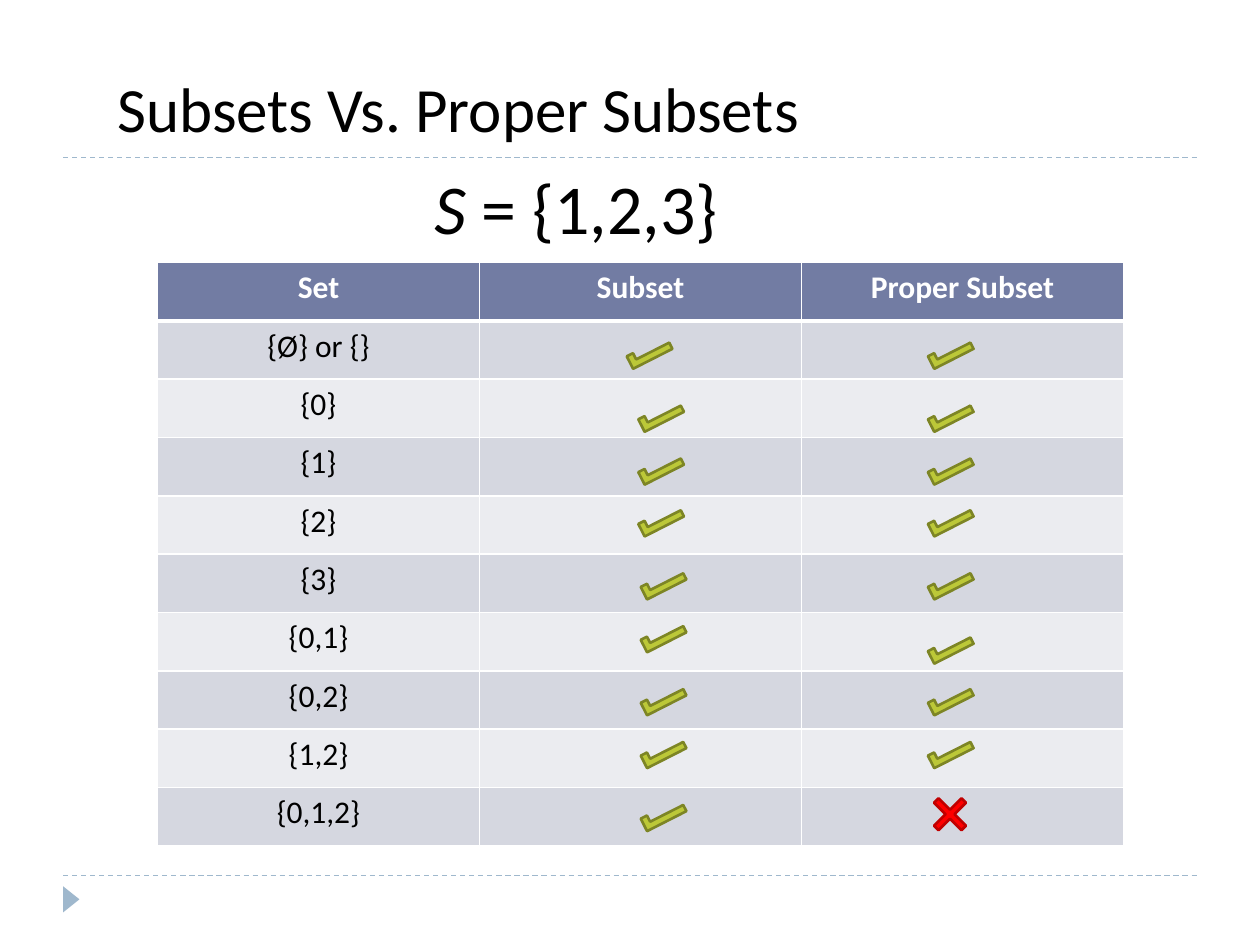
from dataclasses import dataclass

from lxml.etree import SubElement
from pptx import Presentation
from pptx.dml.color import RGBColor
from pptx.enum.dml import MSO_LINE
from pptx.enum.shapes import MSO_CONNECTOR, MSO_SHAPE
from pptx.enum.text import MSO_AUTO_SIZE, PP_ALIGN
from pptx.oxml.ns import qn
from pptx.util import Pt


@dataclass(frozen=True)
class Theme:
    font: str = "Calibri"
    title_size: float = 36
    formula_size: float = 40
    table_size: float = 18
    text: str = "000000"
    white: str = "FFFFFF"
    accent: str = "9FB8CD"
    header: str = "727CA3"
    bands: tuple = ("D5D7E0", "EBECF0")
    check: str = "BCC838"
    check_line: str = "7D8525"
    cross: str = "FF0000"
    cross_line: str = "C00000"


@dataclass(frozen=True)
class Box:
    left: float
    top: float
    width: float
    height: float


THEME = Theme()
HEADERS = ("Set", "Subset", "Proper Subset")
SETS = ("{Ø} or {}", "{0}", "{1}", "{2}", "{3}", "{0,1}", "{0,2}", "{1,2}", "{0,1,2}")

# Check mark offsets from the table's top left corner
CHECK_TOPS = (47.5, 83.5, 113.7, 143.3, 179.3, 209.5, 245.5, 275.7, 311.7)
SUBSET_LEFTS = (268.6,) + (275.2,) * 3 + (276.6,) * 5
PROPER_LEFT = 440.7
PROPER_TOPS = CHECK_TOPS[:5] + (216,) + CHECK_TOPS[6:8]


def add_run(paragraph, text, *, size, color=THEME.text, bold=False, italic=False):
    run = paragraph.add_run()
    run.text = text
    run.font.name = THEME.font
    run.font.size = Pt(size)
    run.font.bold = bold
    run.font.italic = italic
    run.font.color.rgb = RGBColor.from_string(color)


def add_text_line(slide, box, runs, size):
    """Add a one-line text box from (text, italic) pairs."""
    shape = slide.shapes.add_textbox(
        Pt(box.left), Pt(box.top), Pt(box.width), Pt(box.height))
    frame = shape.text_frame
    frame.word_wrap = False
    frame.auto_size = MSO_AUTO_SIZE.SHAPE_TO_FIT_TEXT
    for text, italic in runs:
        add_run(frame.paragraphs[0], text, size=size, italic=italic)


def add_preset(slide, kind, box, *, fill, line=None, rotation=0, adjustment=None):
    shape = slide.shapes.add_shape(
        kind, Pt(box.left), Pt(box.top), Pt(box.width), Pt(box.height))
    shape.shadow.inherit = False
    shape.rotation = rotation
    shape.fill.solid()
    shape.fill.fore_color.rgb = RGBColor.from_string(fill)
    if adjustment is not None:
        shape.adjustments[0] = adjustment
    if line:
        shape.line.color.rgb = RGBColor.from_string(line)
        shape.line.width = Pt(1.5)
    else:
        shape.line.fill.background()


def add_frame(slide, box):
    """Dashed rules at the top and bottom of the box, with a marker below."""
    for y in (box.top, box.top + box.height):
        rule = slide.shapes.add_connector(
            MSO_CONNECTOR.STRAIGHT, Pt(box.left), Pt(y), Pt(box.left + box.width), Pt(y))
        rule.line.color.rgb = RGBColor.from_string(THEME.accent)
        rule.line.width = Pt(0.75)
        rule.line.dash_style = MSO_LINE.DASH
        SubElement(rule._element.spPr, qn("a:effectLst"))
    marker = Box(box.left - 2.8, box.top + box.height + 8.8, 15, 9.4)
    add_preset(slide, MSO_SHAPE.ISOSCELES_TRIANGLE, marker,
               fill=THEME.accent, rotation=90)


def set_borders(cell, top, bottom):
    """Draw white cell borders; this must come before the cell's fill."""
    properties = cell._tc.get_or_add_tcPr()
    for side, width in (("L", 1), ("R", 1), ("T", top), ("B", bottom)):
        border = SubElement(properties, qn(f"a:ln{side}"), w=str(Pt(width)))
        fill = SubElement(border, qn("a:solidFill"))
        SubElement(fill, qn("a:srgbClr"), val=THEME.white)


def add_set_table(slide, box):
    rows = [HEADERS] + [(name, "", "") for name in SETS]
    table = slide.shapes.add_table(
        len(rows), len(HEADERS),
        Pt(box.left), Pt(box.top), Pt(box.width), Pt(box.height)).table
    for column in table.columns:
        column.width = Pt(box.width / len(HEADERS))
    for index, values in enumerate(rows):
        table.rows[index].height = Pt(box.height / len(rows))
        is_header = index == 0
        fill = THEME.header if is_header else THEME.bands[(index - 1) % 2]
        for column, text in enumerate(values):
            cell = table.cell(index, column)
            set_borders(cell, top=3 if index == 1 else 1, bottom=3 if is_header else 1)
            cell.fill.solid()
            cell.fill.fore_color.rgb = RGBColor.from_string(fill)
            paragraph = cell.text_frame.paragraphs[0]
            paragraph.alignment = PP_ALIGN.CENTER
            paragraph.font.size = Pt(THEME.table_size)
            if text:
                add_run(paragraph, text, size=THEME.table_size, bold=is_header,
                        color=THEME.white if is_header else THEME.text)


def add_marks(slide, box):
    """Check marks and the one cross, placed over the table."""
    checks = list(zip(SUBSET_LEFTS, CHECK_TOPS))
    checks += [(PROPER_LEFT, top) for top in PROPER_TOPS]
    for left, top in checks:
        add_preset(slide, MSO_SHAPE.CORNER,
                   Box(box.left + left, box.top + top, 25.2, 8),
                   fill=THEME.check, line=THEME.check_line, rotation=333.1)
    add_preset(slide, MSO_SHAPE.MATH_MULTIPLY,
               Box(box.left + 437.8, box.top + 300.2, 30.2, 30.2),
               fill=THEME.cross, line=THEME.cross_line, adjustment=0.119)


def main():
    presentation = Presentation()
    presentation.slide_width = Pt(720)
    presentation.slide_height = Pt(540)
    slide = presentation.slides.add_slide(presentation.slide_layouts[6])

    add_frame(slide, Box(36, 90, 648, 410.4))

    # Title and the set under discussion
    add_text_line(slide, Box(60, 36, 407.5, 51),
                  [("Subsets Vs. Proper Subsets", False)], THEME.title_size)
    add_text_line(slide, Box(241.2, 90.7, 177.8, 55.7),
                  [("S ", True), ("= {1,2,3}", False)], THEME.formula_size)

    # Comparison table
    table_box = Box(90, 150, 552, 333.4)
    add_set_table(slide, table_box)
    add_marks(slide, table_box)

    presentation.save("out.pptx")


if __name__ == "__main__":
    main()
